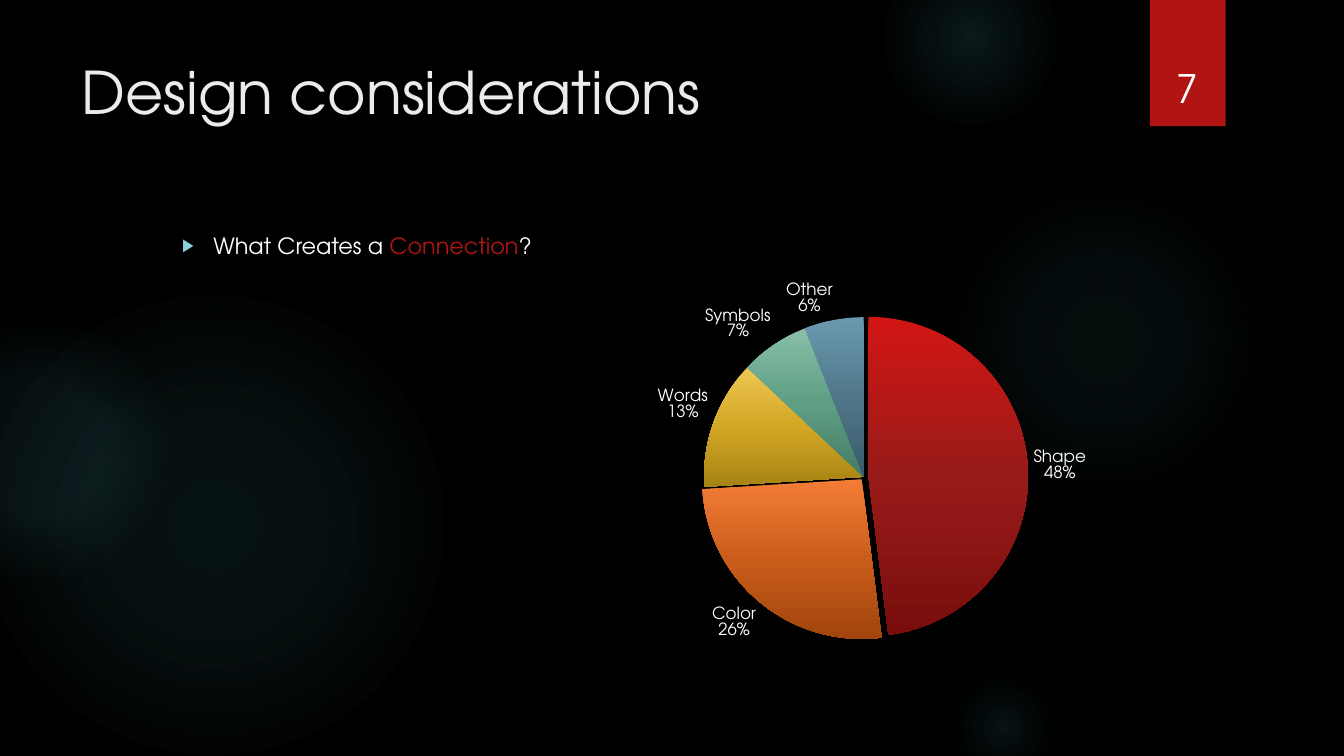
from pptx import Presentation
from pptx.chart.data import CategoryChartData
from pptx.dml.color import RGBColor
from pptx.enum.chart import XL_CHART_TYPE, XL_LABEL_POSITION
from pptx.enum.shapes import MSO_SHAPE
from pptx.enum.text import MSO_ANCHOR, PP_ALIGN
from pptx.oxml import parse_xml
from pptx.oxml.ns import nsdecls, qn
from pptx.util import Cm, Pt

FONT = "TeX Gyre Adventor"
WHITE, RED, GLOW = "FFFFFF", "B01513", "50B9C1"

# left, top, diameter in cm; position and opacity of each stop in percent
GLOWS = [
    (-0.43, 7.42, 11.63, [(0, 10), (36, 8), (75, 0)]),
    (-2.34, 8.05, 6.55, [(0, 8), (36, 8), (72, 0)]),
    (23.9, 4.65, 7.82, [(0, 7), (36, 6), (69, 0)]),
    (22.23, -1.27, 4.45, [(0, 14), (36, 7), (73, 0)]),
    (23.9, 16.94, 2.74, [(0, 11), (30, 5), (67, 0)]),
]
# category, percent, explosion, gradient from top to bottom
SLICES = [
    ("Shape", 48, 3, ("D21614", "981B19", "790E0D")),
    ("Color", 26, 2, ("F37D37", "CA5D1B", "A1440C")),
    ("Words", 13, 0, ("EDC752", "D2A725", "A78314")),
    ("Symbols", 7, 0, ("89BFA8", "5E9F83", "457B64")),
    ("Other", 6, 0, ("6A99AF", "507789", "3A5B6A")),
]
RADIAL = ('<a:path path="circle"><a:fillToRect l="50000" t="50000" '
          'r="50000" b="50000"/></a:path>')
DOWNWARD = '<a:lin ang="5400000" scaled="0"/>'


def color(value):
    return RGBColor.from_string(value)


def fill_gradient(fill, stops, direction):
    """Fill with (position, colour, opacity) stops and return the properties element."""
    fill.background()
    stop_xml = "".join(
        f'<a:gs pos="{position * 1000}"><a:srgbClr val="{value}">'
        f'<a:alpha val="{opacity * 1000}"/></a:srgbClr></a:gs>'
        for position, value, opacity in stops)
    gradient = parse_xml(f'<a:gradFill {nsdecls("a")} rotWithShape="1">'
                         f'<a:gsLst>{stop_xml}</a:gsLst>{direction}</a:gradFill>')
    properties = fill._xPr
    properties.replace(properties.find(qn("a:noFill")), gradient)
    return properties


def format_font(font, size, value):
    font.name = FONT
    font.size = Pt(size)
    font.color.rgb = color(value)


def write_text(box, spans, size, align=PP_ALIGN.LEFT, anchor=MSO_ANCHOR.TOP):
    """Write one paragraph of (text, colour) spans and return it."""
    frame = box.text_frame
    frame.word_wrap = True
    frame.vertical_anchor = anchor
    para = frame.paragraphs[0]
    para.alignment = align
    for text, value in spans:
        span = para.add_run()
        span.text = text
        format_font(span.font, size, value)
    return para


def add_bullet(para):
    para.level = 1
    para.space_before = Pt(3.2)
    para.space_after = Pt(6)
    properties = para._p.get_or_add_pPr()
    properties.set("marL", str(Cm(2.06)))
    properties.set("indent", str(Cm(-0.79)))
    for xml in ('<a:buClr {}><a:srgbClr val="8AD0D6"/></a:buClr>',
                '<a:buSzPct {} val="80000"/>',
                '<a:buFont {} typeface="Arial"/>',
                '<a:buChar {} char="▶"/>'):
        properties.append(parse_xml(xml.format(nsdecls("a"))))


def add_plain_shape(page, kind, left, top, width, height):
    shape = page.shapes.add_shape(kind, Cm(left), Cm(top), Cm(width), Cm(height))
    shape.shadow.inherit = False
    shape.line.fill.background()
    return shape


def add_glow(page, left, top, diameter, stops):
    glow = add_plain_shape(page, MSO_SHAPE.OVAL, left, top, diameter, diameter)
    fill_gradient(glow.fill, [(position, GLOW, opacity) for position, opacity in stops], RADIAL)


def add_number_tab(page):
    tab = add_plain_shape(page, MSO_SHAPE.RECTANGLE, 28.98, 0, 1.91, 3.18)
    tab.fill.solid()
    tab.fill.fore_color.rgb = color(RED)
    tab._element.spPr.find(qn("a:effectLst")).append(parse_xml(
        f'<a:outerShdw {nsdecls("a")} blurRad="{Pt(3)}" dist="{Pt(2)}" dir="5400000" '
        'rotWithShape="0"><a:srgbClr val="000000"><a:alpha val="45000"/></a:srgbClr>'
        '</a:outerShdw>'))


def add_text_box(page, left, top, width, height):
    return page.shapes.add_textbox(Cm(left), Cm(top), Cm(width), Cm(height))


def place_plot(chart, **fractions):
    plot_area = chart._chartSpace.chart.plotArea
    for layout in plot_area.findall(qn("c:layout")):
        plot_area.remove(layout)
    numbers = "".join(f'<c:{name} val="{value}"/>' for name, value in fractions.items())
    plot_area.insert(0, parse_xml(
        f'<c:layout {nsdecls("c")}><c:manualLayout><c:layoutTarget val="inner"/>'
        f'<c:xMode val="edge"/><c:yMode val="edge"/>{numbers}</c:manualLayout></c:layout>'))


def add_pie(page, left, top, width, height):
    data = CategoryChartData()
    data.categories = [name for name, *_ in SLICES]
    data.add_series("Series 1", [value for _, value, *_ in SLICES])
    chart = page.shapes.add_chart(XL_CHART_TYPE.PIE, Cm(left), Cm(top),
                                  Cm(width), Cm(height), data).chart
    chart.has_title = False
    chart.has_legend = False
    format_font(chart.font, 12, WHITE)
    place_plot(chart, x=0.16, y=0.195, w=0.673, h=0.69)

    plot = chart.plots[0]
    plot.vary_by_categories = True
    for index, (_, _, explosion, shades) in enumerate(SLICES):
        look = plot.series[0].points[index].format
        look.line.fill.background()
        stops = [(position, shade, 100) for position, shade in zip((0, 50, 100), shades)]
        properties = fill_gradient(look.fill, stops, DOWNWARD)
        if explosion:
            properties.addprevious(parse_xml(
                f'<c:explosion {nsdecls("c")} val="{explosion}"/>'))

    plot.has_data_labels = True
    labels = plot.data_labels
    labels.show_value = False
    labels.show_category_name = True
    labels.show_percentage = True
    labels.number_format = "0%"
    labels.number_format_is_linked = False
    labels.position = XL_LABEL_POSITION.OUTSIDE_END
    format_font(labels.font, 12, WHITE)
    labels._element.find(qn("c:showBubbleSize")).addnext(
        parse_xml(f'<c:separator {nsdecls("c")}>\n</c:separator>'))


def main():
    deck = Presentation()
    deck.slide_width, deck.slide_height = Cm(33.87), Cm(19.05)
    page = deck.slides.add_slide(deck.slide_layouts[5])
    page.background.fill.solid()
    page.background.fill.fore_color.rgb = color("000000")

    for glow in GLOWS:
        add_glow(page, *glow)
    add_number_tab(page)

    title = page.shapes.title
    title.left, title.top, title.width, title.height = Cm(1.8), Cm(1.27), Cm(26.14), Cm(3.89)
    write_text(title, [("Design considerations", "EBEBEB")], 42)

    body = add_text_box(page, 3.07, 5.72, 12.22, 11.66)
    add_bullet(write_text(
        body, [("What Creates a ", WHITE), ("Connection", RED), ("?", WHITE)], 16))
    add_pie(page, 15.7, 5.72, 12.22, 11.66)

    number = add_text_box(page, 28.75, 0.81, 2.34, 2.13)
    write_text(number, [("7", WHITE)], 28, align=PP_ALIGN.CENTER, anchor=MSO_ANCHOR.BOTTOM)
    deck.save("out.pptx")


if __name__ == "__main__":
    main()
